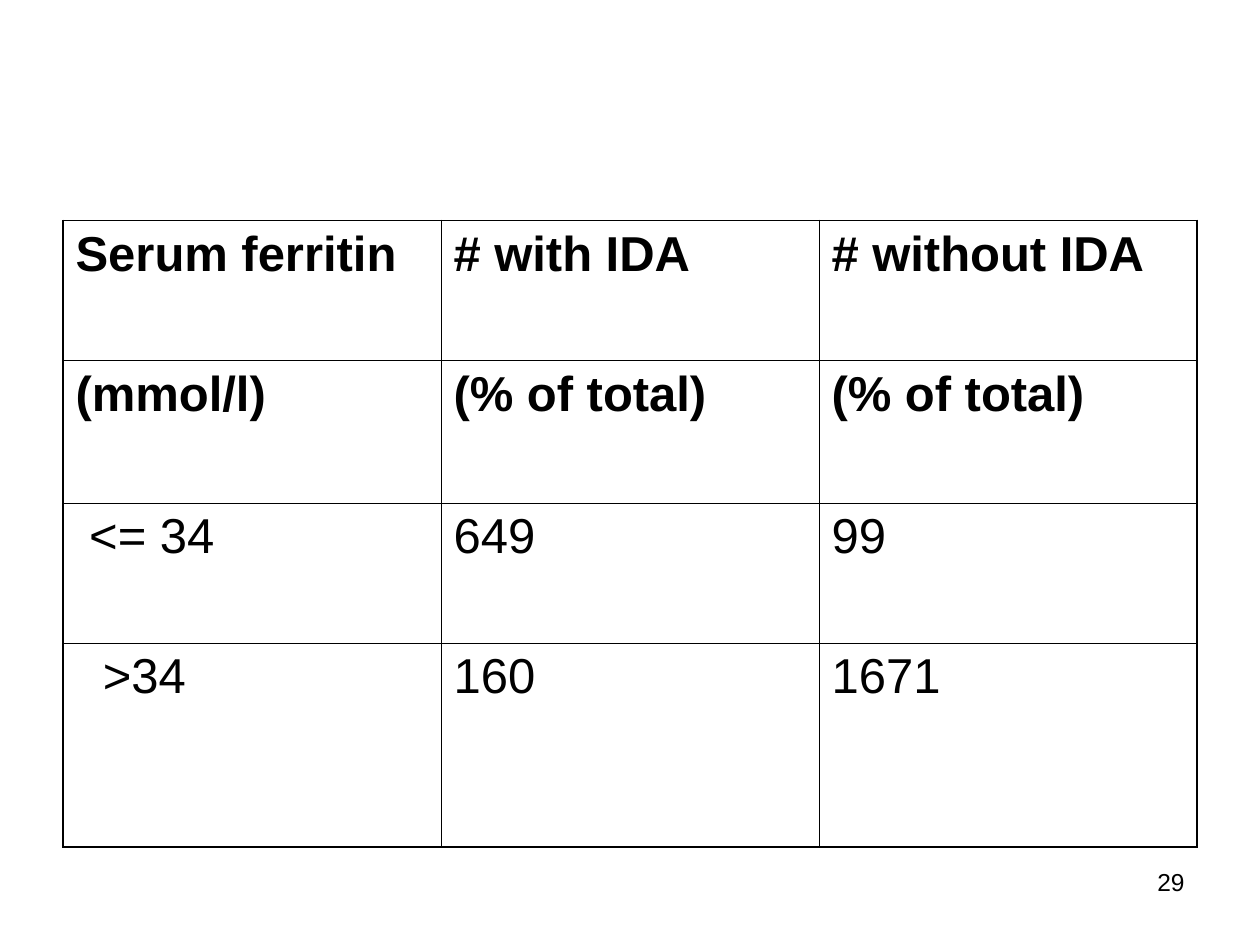
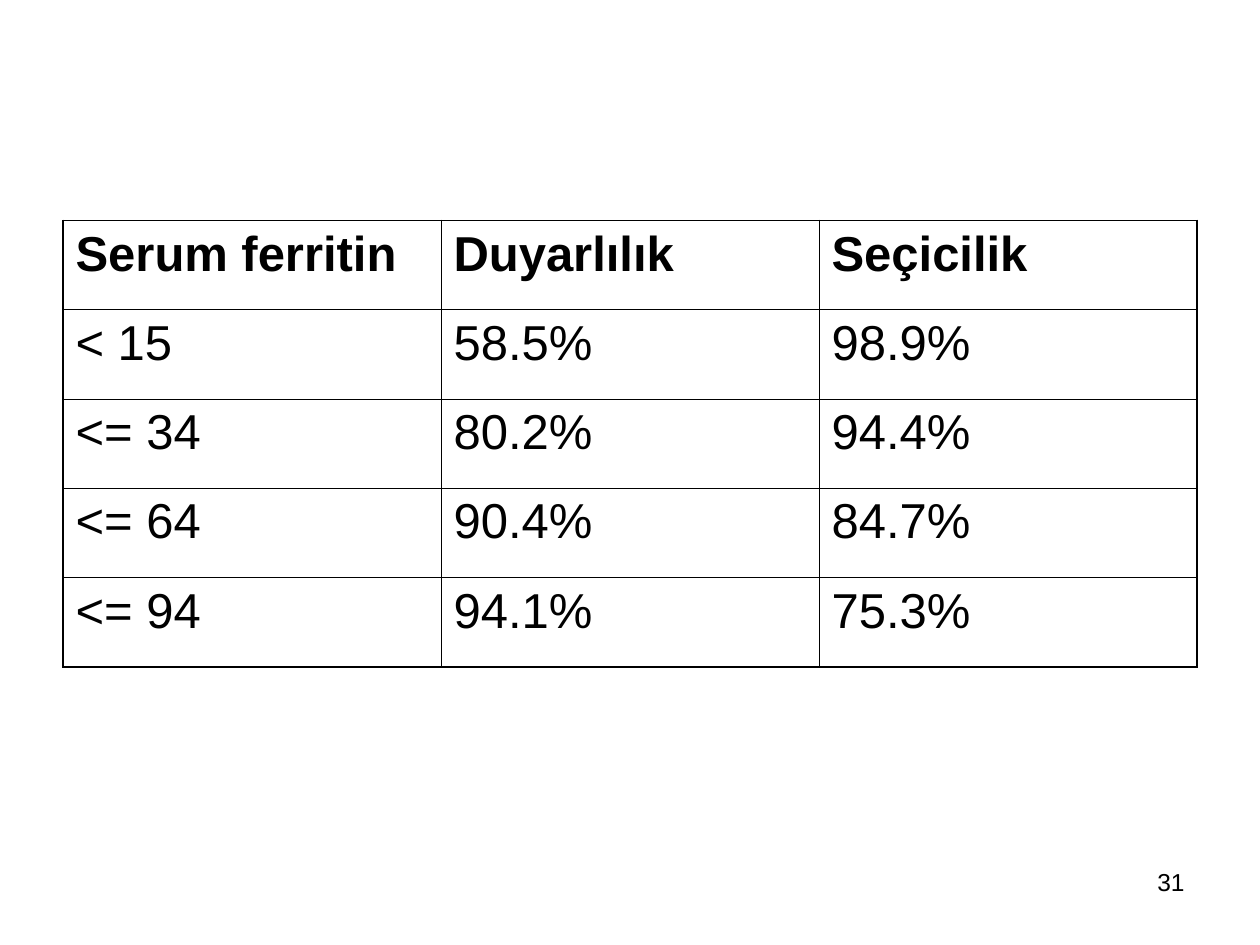
from pptx import Presentation
from pptx.dml.color import RGBColor
from pptx.enum.text import PP_ALIGN
from pptx.util import Pt
from pptx.oxml.ns import qn
from lxml.etree import SubElement

BLACK = RGBColor(0x00, 0x00, 0x00)
FONT = "Arial"
OUTER_LINE, INNER_LINE = Pt(1.08), Pt(0.45)
TABLE_LEFT, TABLE_TOP, COLUMN_WIDTH = 36, 126, 216
CELL_MARGIN = 7.2

# Page number, row heights, number of bold rows, left indents by row, cell texts
TABLE_SLIDES = [
    ("29", [80, 81.4, 80, 116.6], 2, {2: 7.8, 3: 15.6}, [
        ["Serum ferritin", "# with IDA", "# without IDA"],
        ["(mmol/l)", "(% of total)", "(% of total)"],
        ["<= 34", "649", "99"],
        [">34", "160", "1671"],
    ]),
    ("31", [51] * 5, 1, {}, [
        ["Serum ferritin", "Duyarlılık", "Seçicilik"],
        ["< 15", "58.5%", "98.9%"],
        ["<= 34", "80.2%", "94.4%"],
        ["<= 64", "90.4%", "84.7%"],
        ["<= 94", "94.1%", "75.3%"],
    ]),
]


def format_text(para, size, bold=False):
    for span in para.runs:
        span.font.name = FONT
        span.font.size = Pt(size)
        span.font.bold = bold
        span.font.color.rgb = BLACK


def add_borders(cell, outer_sides):
    properties = cell._tc.get_or_add_tcPr()
    for side, is_outer in outer_sides.items():
        width = OUTER_LINE if is_outer else INNER_LINE
        line = SubElement(properties, qn(f"a:ln{side}"), w=str(int(width)))
        fill = SubElement(line, qn("a:solidFill"))
        SubElement(fill, qn("a:srgbClr"), val=str(BLACK))


deck = Presentation()
deck.slide_width, deck.slide_height = Pt(720), Pt(540)

for number, heights, bold_rows, indents, rows in TABLE_SLIDES:
    page = deck.slides.add_slide(deck.slide_layouts[6])

    # Table with a heavier outer frame
    last_row, last_column = len(rows) - 1, len(rows[0]) - 1
    table = page.shapes.add_table(
        len(rows), len(rows[0]), Pt(TABLE_LEFT), Pt(TABLE_TOP),
        Pt(COLUMN_WIDTH * len(rows[0])), Pt(sum(heights))).table
    table.first_row = table.horz_banding = False
    for column in table.columns:
        column.width = Pt(COLUMN_WIDTH)
    for r, texts in enumerate(rows):
        table.rows[r].height = Pt(heights[r])
        for c, text in enumerate(texts):
            cell = table.cell(r, c)
            add_borders(cell, {"L": c == 0, "R": c == last_column,
                               "T": r == 0, "B": r == last_row})
            cell.fill.background()
            if c == 0:
                cell.margin_left = Pt(CELL_MARGIN + indents.get(r, 0))
            para = cell.text_frame.paragraphs[0]
            para.text = text
            para.space_before = Pt(7)
            format_text(para, 28, bold=r < bold_rows)

    # Page number
    box = page.shapes.add_textbox(Pt(516), Pt(492), Pt(168), Pt(37.5))
    box.text_frame.word_wrap = True
    para = box.text_frame.paragraphs[0]
    para.text = number
    para.alignment = PP_ALIGN.RIGHT
    format_text(para, 14)

deck.save("out.pptx")
